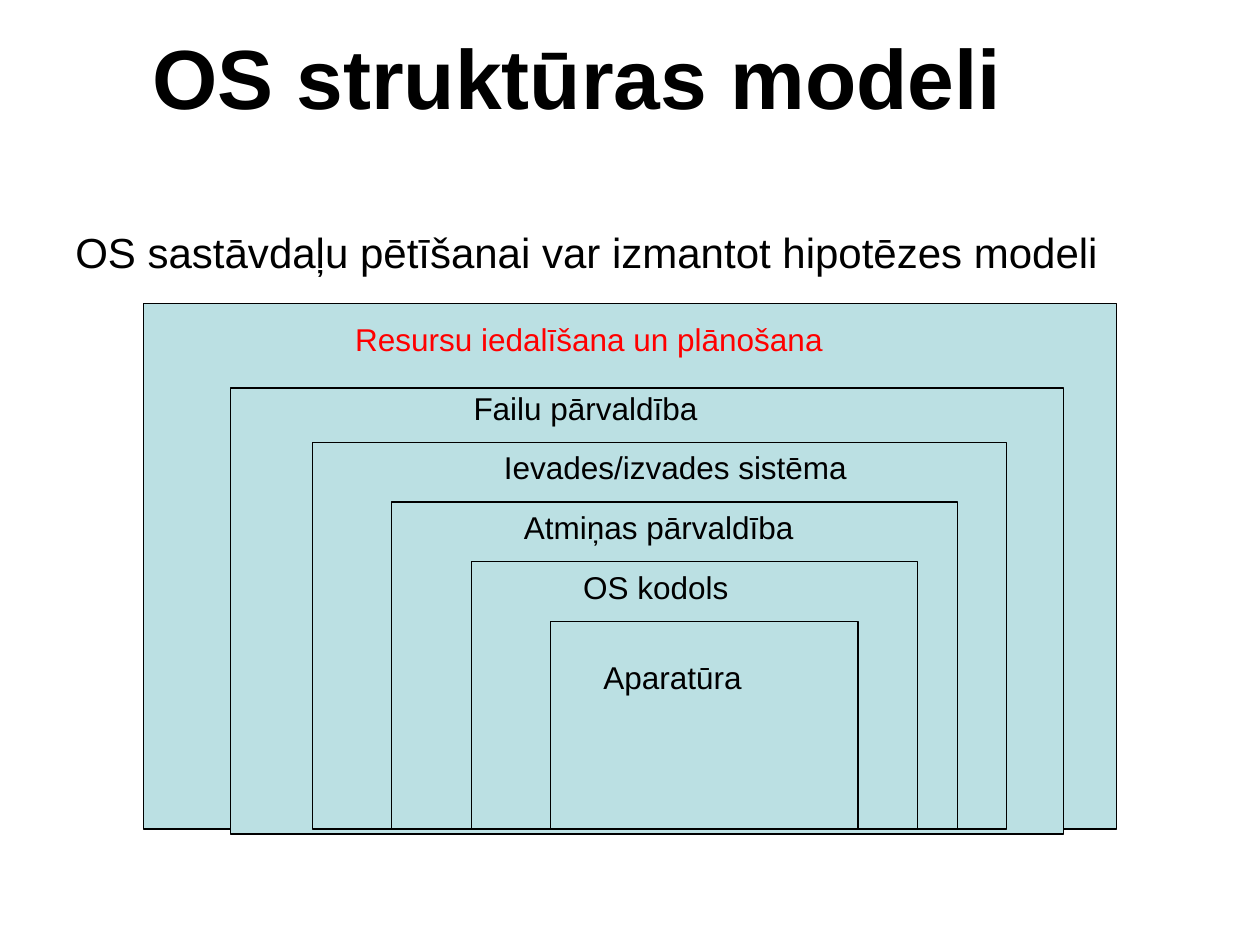
import pptx
import pptx.util
import pptx.dml.color
import pptx.enum.shapes
import pptx.enum.text
from collections import namedtuple
from dataclasses import dataclass

Box = namedtuple("Box", "left top width height")
ALIGN = pptx.enum.text.PP_ALIGN
ANCHOR = pptx.enum.text.MSO_ANCHOR
SIZING = pptx.enum.text.MSO_AUTO_SIZE


@dataclass(frozen=True)
class Theme:
    font: str = "Arial"
    ink: str = "000000"
    accent: str = "FF0000"
    fill: str = "BBE0E3"
    title: int = 48
    body: int = 24
    label: int = 18
    line: float = 0.75


THEME = Theme()
COLS, ROWS = 100, 75  # grid of the slide, ten cells to the inch
PAGE = Box(0, 0, COLS, ROWS)

# label, layer width, label box (left, top, width, height) in its layer, colour
LAYERS = [
    ("Resursu iedalīšana un plānošana", 77.2, (15.8, 0.8, 39.1, 4),
     THEME.accent),
    ("Failu pārvaldība", 66.1, (18.3, -0.4, 19.8, 4), THEME.ink),
    ("Ievades/izvades sistēma", 55.1, (14.2, 0, 29.2, 4), THEME.ink),
    ("Atmiņas pārvaldība", 44.9, (9.5, 0, 23.4, 4), THEME.ink),
    ("OS kodols", 35.4, (7.9, 0, 13.5, 4), THEME.ink),
    ("Aparatūra", 24.4, (3.2, 2.4, 13.6, 4), THEME.ink),
]


def cells(count):
    return pptx.util.Inches(count / 10)


def color(code):
    return pptx.dml.color.RGBColor.from_string(code)


def inside(box, left, top, width, height):
    """Return a box whose corner is given relative to another box."""
    return Box(box.left + left, box.top + top, width, height)


def add_text(slide, box, text, size=THEME.label, ink=THEME.ink, bold=False,
             align=ALIGN.LEFT, anchor=ANCHOR.TOP, wrap=True,
             sizing=SIZING.NONE, right=1, bottom=0.5):
    shape = slide.shapes.add_textbox(*map(cells, box))
    frame = shape.text_frame
    frame.word_wrap = wrap
    frame.auto_size = sizing
    frame.vertical_anchor = anchor
    frame.margin_left, frame.margin_right = cells(1), cells(right)
    frame.margin_top, frame.margin_bottom = cells(0.5), cells(bottom)
    line = frame.paragraphs[0]
    line.alignment = align
    run = line.add_run()
    run.text = text
    font = run.font
    font.name, font.size, font.bold = THEME.font, pptx.util.Pt(size), bold
    font.color.rgb = color(ink)


def add_layer(slide, box):
    shape = slide.shapes.add_shape(
        pptx.enum.shapes.MSO_SHAPE.RECTANGLE, *map(cells, box))
    shape.shadow.inherit = False
    shape.fill.solid()
    shape.fill.fore_color.rgb = color(THEME.fill)
    shape.line.color.rgb = color(THEME.ink)
    shape.line.width = pptx.util.Pt(THEME.line)


def draw_head(slide, box):
    """Place the title, raised above the middle of its box by the insets."""
    add_text(slide, inside(box, 5.9, 6.8, 81.6, 6.5), "OS struktūras modeli",
             size=THEME.title, bold=True, align=ALIGN.CENTER,
             anchor=ANCHOR.BOTTOM, right=2.8, bottom=3.3)


def draw_body(slide, box):
    add_text(slide, inside(box, 5, 17.5, 90, 49.5),
             "OS sastāvdaļu pētīšanai var izmantot hipotēzes modeli",
             size=THEME.body)


def nest(box, level, width):
    """Return the box of a layer; all but the second share a base line."""
    if level == 0:
        return box
    if level == 1:
        return inside(box, 6.9, 6.7, width, 35.4)
    step = level - 2
    top = 11 + 4.74 * step
    return inside(box, 13.4 + 6.3 * step, top, width, box.height - top)


def draw_model(slide, box):
    """Draw the nested layers, then the labels over them."""
    boxes = [nest(box, level, layer[1]) for level, layer in enumerate(LAYERS)]
    for layer in boxes:
        add_layer(slide, layer)
    for layer, (text, _, place, ink) in zip(boxes, LAYERS):
        add_text(slide, inside(layer, *place), text, ink=ink, wrap=False,
                 sizing=SIZING.SHAPE_TO_FIT_TEXT)


def main():
    deck = pptx.Presentation()
    deck.slide_width, deck.slide_height = cells(COLS), cells(ROWS)
    slide = deck.slides.add_slide(deck.slide_layouts[6])
    draw_head(slide, PAGE)
    draw_body(slide, PAGE)
    draw_model(slide, inside(PAGE, 11.4, 24.1, 77.2, 41.7))
    deck.save("out.pptx")


if __name__ == "__main__":
    main()
